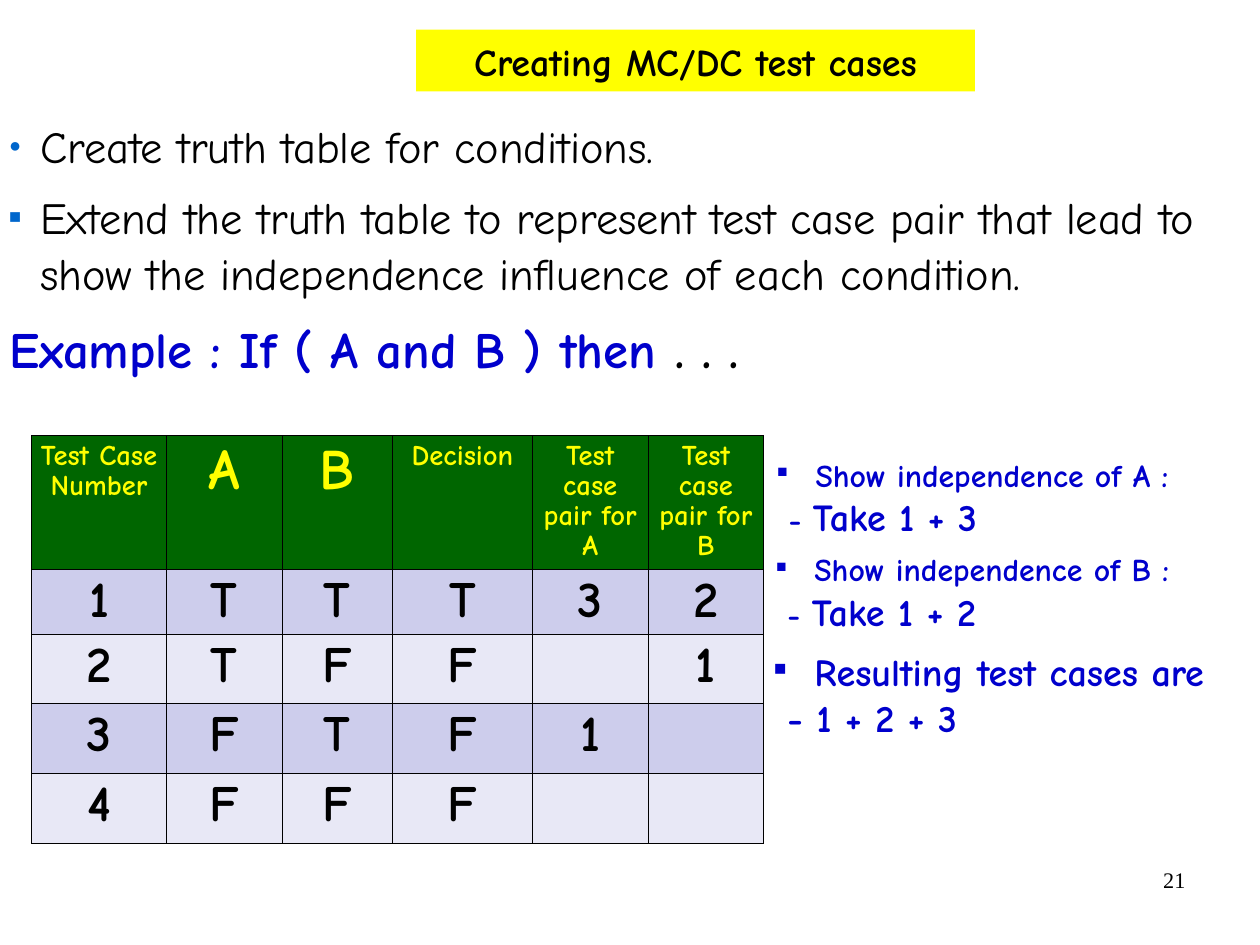
"""Build the slide on creating MC/DC test cases from a truth table."""
from dataclasses import dataclass

from lxml import etree
from pptx import Presentation
from pptx import slide as slides
from pptx import table as tables
from pptx import util as u
from pptx.dml import color as dml
from pptx.enum import text as kinds
from pptx.oxml import ns
from pptx.text import text as words


@dataclass(frozen=True)
class Theme:
    font: str = "Comic Neue"
    number_font: str = "Times New Roman"
    black: str = "000000"
    blue: str = "0000CC"
    bullet: str = "0066CC"
    yellow: str = "FFFF00"
    green: str = "006600"
    bands: tuple[str, str] = ("CDCDEC", "E8E8F6")
    number: float = 14
    label: float = 18
    note: float = 20
    title: float = 24
    body: float = 28
    example: float = 32
    letter: float = 36


@dataclass(frozen=True)
class Box:
    left: float
    top: float
    width: float
    height: float


@dataclass(frozen=True)
class Note:
    box: Box
    heading: str
    heading_size: float
    result: str


THEME = Theme()
HEADER = ("Test Case Number", "A", "B", "Decision", "Test case pair for A", "Test case pair for B")
CASES = ("1TTT32", "2TFF 1", "3FTF1 ", "4FFF  ")
COLUMNS = (84.96, 72.72, 69.84, 87.84, 73.08, 72.72)
ROWS = (84.24, 40.32, 43.92, 43.92, 43.92)
NOTES = (
    Note(Box(484.56, 283.68, 285, 45.36), " Show independence of A :", THEME.note, "Take 1 + 3"),
    Note(Box(483.84, 343.44, 285, 45.36), " Show independence of B :", THEME.note, "Take 1 + 2"),
    Note(Box(482.4, 405.36, 300, 65.52), " Resulting test cases are", THEME.title, "1 + 2 + 3"),
)


def place(shape, box: Box) -> None:
    shape.left, shape.top = u.Pt(box.left), u.Pt(box.top)
    shape.width, shape.height = u.Pt(box.width), u.Pt(box.height)


def prepare(frame: words.TextFrame, across: float = 0, down: float = 0) -> None:
    frame.auto_size = kinds.MSO_AUTO_SIZE.NONE
    frame.word_wrap = True
    frame.margin_left = frame.margin_right = u.Pt(across)
    frame.margin_top = frame.margin_bottom = u.Pt(down)


def write(para, text: str, *, size: float, color: str = THEME.black,
          bold: bool = True, font: str = THEME.font) -> None:
    span = para.add_run()
    span.text = text
    span.font.size, span.font.name, span.font.bold = u.Pt(size), font, bold
    span.font.color.rgb = dml.RGBColor.from_string(color)


def arrange(para, *, align=kinds.PP_ALIGN.LEFT, line: float = 1.0, before: float = 0,
            after: float = 0, left: float = 0, hang: float = 0,
            bullet: str = "", bullet_color: str = THEME.bullet) -> None:
    para.alignment, para.line_spacing = align, line
    para.space_before, para.space_after = u.Pt(before), u.Pt(after)
    props = para._p.get_or_add_pPr()
    props.set("marL", str(u.Pt(left)))
    props.set("indent", str(u.Pt(-hang)))
    if not bullet:
        etree.SubElement(props, ns.qn("a:buNone"))
        return
    tint = etree.SubElement(props, ns.qn("a:buClr"))
    etree.SubElement(tint, ns.qn("a:srgbClr"), val=bullet_color)
    etree.SubElement(props, ns.qn("a:buSzPct"), val="45000")
    etree.SubElement(props, ns.qn("a:buChar"), char=bullet)


def add_title(page: slides.Slide) -> None:
    title = page.shapes.title
    place(title, Box(262.08, 18.72, 352.08, 38.88))
    title.fill.solid()
    title.fill.fore_color.rgb = dml.RGBColor.from_string(THEME.yellow)
    prepare(title.text_frame)
    title.text_frame.vertical_anchor = kinds.MSO_ANCHOR.MIDDLE
    para = title.text_frame.paragraphs[0]
    arrange(para, align=kinds.PP_ALIGN.CENTER, line=1.01)
    write(para, "Creating MC/DC test cases", size=THEME.title)


def add_body(page: slides.Slide) -> None:
    body = page.placeholders[1]
    place(body, Box(0, 73.44, 767.52, 381.6))
    frame = body.text_frame
    prepare(frame)
    first, second, example = frame.paragraphs[0], frame.add_paragraph(), frame.add_paragraph()
    for para, bullet in ((first, "●"), (second, "■"), (example, "")):
        arrange(para, line=1.05, before=7.5, after=1.8, left=25.2, hang=19.44, bullet=bullet)
    write(first, "Create truth table for conditions.", size=THEME.body, bold=False)
    write(second, "Extend the truth table to represent test case pair that lead to "
          "show the independence influence of each condition.", size=THEME.body, bold=False)
    write(example, "Example : If ( A and B ) then", size=THEME.example, color=THEME.blue)
    write(example, " . . .", size=THEME.example)


def add_note(page: slides.Slide, note: Note) -> None:
    box = page.shapes.add_textbox(0, 0, 0, 0)
    place(box, note.box)
    frame = box.text_frame
    prepare(frame, 5.04, 2.88)
    heading, result = frame.paragraphs[0], frame.add_paragraph()
    arrange(heading, line=1.01, left=17, hang=17, bullet="■", bullet_color=THEME.blue)
    write(heading, note.heading, size=note.heading_size, color=THEME.blue)
    arrange(result, line=1.01)
    write(result, " - ", size=note.heading_size, color=THEME.blue)
    write(result, note.result, size=THEME.title, color=THEME.blue)


def format_cell(cell: tables._Cell, text: str, fill: str, size: float, color: str) -> None:
    props = cell._tc.get_or_add_tcPr()
    for side in ("lnL", "lnR", "lnT", "lnB"):
        edge = etree.SubElement(props, ns.qn(f"a:{side}"), w=str(u.Pt(0.45)))
        paint = etree.SubElement(edge, ns.qn("a:solidFill"))
        etree.SubElement(paint, ns.qn("a:srgbClr"), val=THEME.black)
    cell.fill.solid()
    cell.fill.fore_color.rgb = dml.RGBColor.from_string(fill)
    cell.margin_left = cell.margin_right = u.Pt(5.04)
    cell.margin_top = cell.margin_bottom = u.Pt(3.6)
    if text.strip():
        para = cell.text_frame.paragraphs[0]
        arrange(para, align=kinds.PP_ALIGN.CENTER, line=0.91, before=9.8)
        write(para, text, size=size, color=color)


def add_truth_table(page: slides.Slide) -> None:
    holder = page.shapes.add_table(len(ROWS), len(COLUMNS), 0, 0, u.Pt(sum(COLUMNS)), u.Pt(sum(ROWS)))
    place(holder, Box(19.9, 274.32, sum(COLUMNS), sum(ROWS)))
    grid = holder.table
    grid.first_row = grid.horz_banding = False
    for column, width in zip(grid.columns, COLUMNS):
        column.width = u.Pt(width)
    for row, height in zip(grid.rows, ROWS):
        row.height = u.Pt(height)
    for column, text in enumerate(HEADER):
        size = THEME.letter if len(text) == 1 else THEME.label
        format_cell(grid.cell(0, column), text, THEME.green, size, THEME.yellow)
    for index, case in enumerate(CASES):
        for column, text in enumerate(case):
            format_cell(grid.cell(index + 1, column), text, THEME.bands[index % 2],
                        THEME.example, THEME.black)


def add_page_number(page: slides.Slide) -> None:
    box = page.shapes.add_textbox(0, 0, 0, 0)
    place(box, Box(568.8, 542.16, 185.04, 41.04))
    prepare(box.text_frame, 7.2, 3.6)
    para = box.text_frame.paragraphs[0]
    arrange(para, align=kinds.PP_ALIGN.RIGHT)
    write(para, "21", size=THEME.number, bold=False, font=THEME.number_font)


def main() -> None:
    deck = Presentation()
    deck.slide_width, deck.slide_height = u.Pt(793.7), u.Pt(595.28)
    page = deck.slides.add_slide(deck.slide_layouts[1])
    add_page_number(page)
    add_title(page)
    add_body(page)
    for note in NOTES:
        add_note(page, note)
    add_truth_table(page)
    deck.save("out.pptx")


if __name__ == "__main__":
    main()
